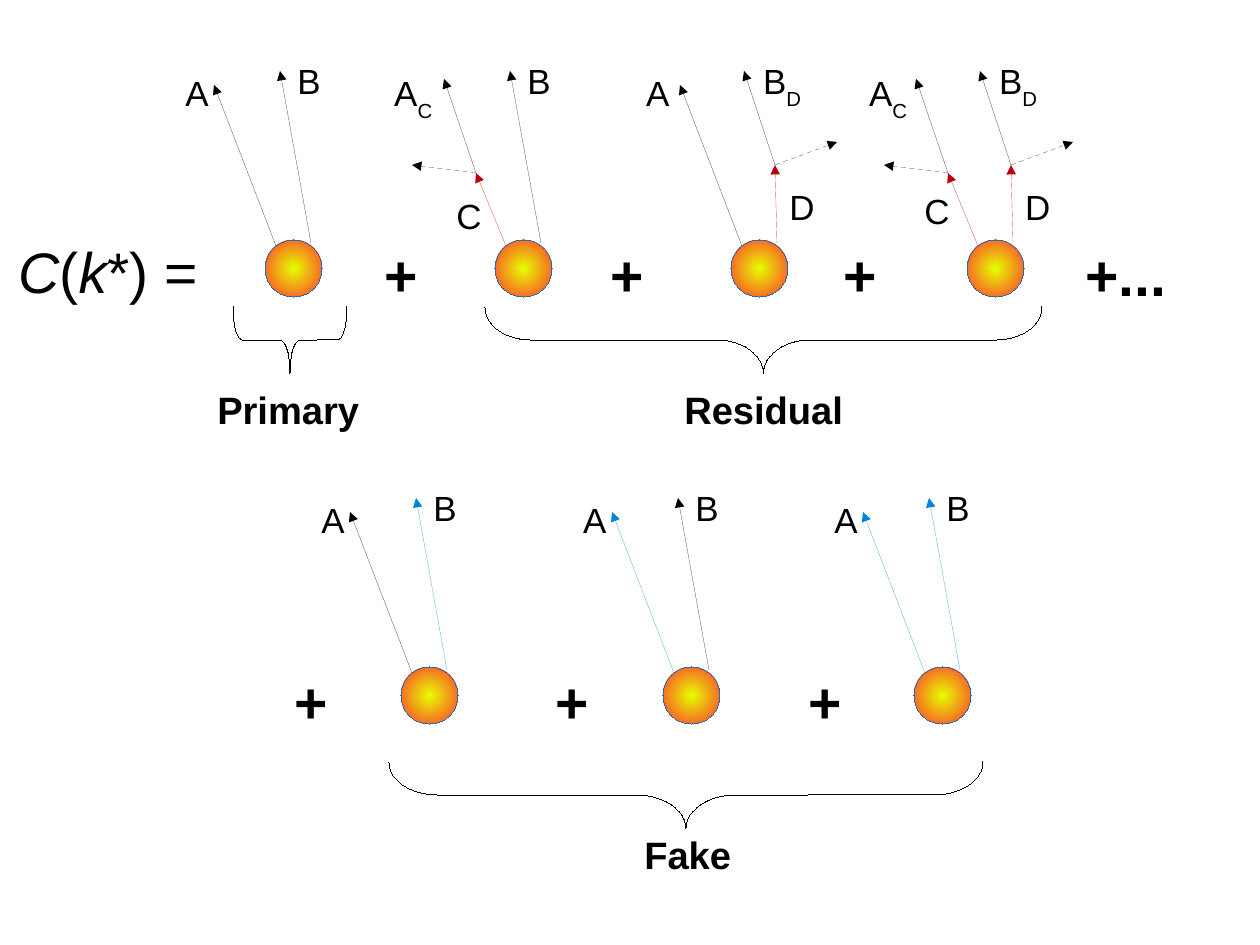
"""Build a slide splitting C(k*) into primary, residual and fake pair contributions."""
from dataclasses import dataclass

from lxml.etree import SubElement
from pptx import Presentation
from pptx.dml.color import RGBColor
from pptx.dml.line import LineFormat
from pptx.enum.dml import MSO_LINE
from pptx.enum.shapes import MSO_CONNECTOR, MSO_SHAPE as Preset
from pptx.enum.text import MSO_AUTO_SIZE as AutoSize
from pptx.oxml.ns import qn
from pptx.shapes.shapetree import SlideShapes
from pptx.util import Emu, Pt

PX = 8000
SPHERE_SIZE = 57
BRACE_DEPTH = 66
COLORS = {
    "ink": "000000",
    "decay": "BB000B",
    "fake": "0084D1",
    "core": "E6FF00",
    "rim": "FF3333",
    "outline": "3465A4",
}


@dataclass(frozen=True)
class Run:
    text: str
    italic: bool = False
    subscript: bool = False


@dataclass(frozen=True)
class Label:
    left: int
    top: int
    width: int
    height: int
    runs: tuple[Run, ...]
    size: int = 22
    bold: bool = False


@dataclass(frozen=True)
class Track:
    start: tuple[int, int]
    tip: tuple[int, int]
    color: str = "ink"
    dashed: bool = False


@dataclass(frozen=True)
class Particle:
    tracks: tuple[Track, ...]
    labels: tuple[Label, ...]


@dataclass(frozen=True)
class Emission:
    left: int
    top: int
    plus_left: int | None
    particles: tuple[Particle, ...]


@dataclass(frozen=True)
class Group:
    left: int
    top: int
    span: int
    caption: Label


def px(length: float) -> Emu:
    return Emu(round(length * PX))


def rgb(name: str) -> RGBColor:
    return RGBColor.from_string(COLORS[name])


def direct_a(color: str = "ink", label_left: int = -91) -> Particle:
    return Particle((Track((11, 6), (-51, -155), color),),
                    (Label(label_left, -174, 30, 55, (Run("A"),)),))


def direct_b(color: str = "ink") -> Particle:
    return Particle((Track((46, 3), (15, -169), color),),
                    (Label(21, -186, 33, 55, (Run("B"),)),))


def decayed_a(label_left: int, width: int, height: int,
              parent_left: int, parent_top: int) -> Particle:
    vertex = (-19, -67)
    return Particle(
        (Track((11, 6), vertex, "decay"),
         Track(vertex, (-51, -161)),
         Track(vertex, (-83, -75), dashed=True)),
        (Label(label_left, -174, width, height, (Run("A"), Run("C", subscript=True))),
         Label(parent_left, parent_top, 32, 55, (Run("C"),))),
    )


def decayed_b(width: int, height: int) -> Particle:
    vertex = (44, -75)
    return Particle(
        (Track((46, 3), vertex, "decay"),
         Track(vertex, (13, -169)),
         Track(vertex, (106, -98), dashed=True)),
        (Label(21, -186, width, height, (Run("B"), Run("D", subscript=True))),
         Label(47, -60, 32, 55, (Run("D"),))),
    )


def plus(left: int, top: int, text: str = "+", width: int = 41) -> Label:
    return Label(left, top, width, 85, (Run(text),), 36, True)


def caption(left: int, top: int, width: int, height: int, text: str) -> Label:
    return Label(left, top, width, height, (Run(text),), 24, True)


PAIR_TOP, FAKE_TOP = 240, 667
EMISSIONS = (
    Emission(265, PAIR_TOP, None, (direct_a(), direct_b())),
    Emission(495, PAIR_TOP, 373, (decayed_a(-112, 67, 98, -50, -51), direct_b())),
    Emission(731, PAIR_TOP, 599, (direct_a(label_left=-96), decayed_b(65, 107))),
    Emission(967, PAIR_TOP, 832, (decayed_a(-109, 64, 64, -54, -56), decayed_b(81, 77))),
    Emission(401, FAKE_TOP, 283, (direct_a(), direct_b("fake"))),
    Emission(663, FAKE_TOP, 544, (direct_a("fake"), direct_b())),
    Emission(914, FAKE_TOP, 797, (direct_a("fake"), direct_b("fake"))),
)
GROUPS = (
    Group(233, 307, 114, caption(206, 381, 165, 75, "Primary")),
    Group(485, 307, 557, caption(673, 381, 183, 75, "Residual")),
    Group(389, 762, 594, caption(633, 826, 111, 69, "Fake")),
)
FORMULA = Label(7, 231, 206, 82, (Run("C", italic=True), Run("("),
                                  Run("k", italic=True), Run("*) =")), 36)


def draw_label(shapes: SlideShapes, label: Label, left: int = 0, top: int = 0) -> None:
    frame = shapes.add_textbox(px(left + label.left), px(top + label.top),
                               px(label.width), px(label.height)).text_frame
    frame.word_wrap = True
    frame.auto_size = AutoSize.SHAPE_TO_FIT_TEXT
    for part in label.runs:
        run = frame.paragraphs[0].add_run()
        run.text = part.text
        run.font.name = "Arial"
        run.font.size = Pt(label.size)
        run.font.bold = label.bold
        run.font.italic = part.italic
        run.font.color.rgb = rgb("ink")
        if part.subscript:
            run._r.get_or_add_rPr().set("baseline", "-33000")


def set_hairline(line: LineFormat, color: str) -> None:
    line.color.rgb = rgb(color)
    line._get_or_add_ln().set("w", "0")


def draw_track(shapes: SlideShapes, track: Track, left: int, top: int) -> None:
    (x1, y1), (x2, y2) = track.start, track.tip
    arrow = shapes.add_connector(MSO_CONNECTOR.STRAIGHT, px(left + x1), px(top + y1),
                                 px(left + x2), px(top + y2))
    set_hairline(arrow.line, track.color)
    if track.dashed:
        arrow.line.dash_style = MSO_LINE.DASH
    properties = arrow._element.spPr
    SubElement(properties.find(qn("a:ln")), qn("a:tailEnd"), type="triangle")
    SubElement(properties, qn("a:effectLst"))


def draw_sphere(shapes: SlideShapes, left: int, top: int) -> None:
    sphere = shapes.add_shape(Preset.OVAL, px(left), px(top), px(SPHERE_SIZE), px(SPHERE_SIZE))
    sphere.shadow.inherit = False
    set_hairline(sphere.line, "outline")
    sphere.fill.gradient()
    for stop, position, color in zip(sphere.fill.gradient_stops, (0, 1), ("core", "rim")):
        stop.position = position
        stop.color.rgb = rgb(color)
    gradient = sphere._element.spPr.find(qn("a:gradFill"))
    gradient.remove(gradient.find(qn("a:lin")))
    radial = SubElement(gradient, qn("a:path"), path="circle")
    SubElement(radial, qn("a:fillToRect"), l="50000", t="50000", r="50000", b="50000")


def draw_group(shapes: SlideShapes, group: Group) -> None:
    shift = (group.span - BRACE_DEPTH) / 2
    brace = shapes.add_shape(Preset.LEFT_BRACE, px(group.left + shift), px(group.top - shift),
                             px(BRACE_DEPTH), px(group.span))
    brace.rotation = 270
    brace.adjustments[0] = group.span / BRACE_DEPTH / 12
    brace.shadow.inherit = False
    brace.fill.background()
    set_hairline(brace.line, "ink")
    draw_label(shapes, group.caption)


def main() -> None:
    deck = Presentation()
    deck.slide_width, deck.slide_height = px(1260), px(945)
    shapes = deck.slides.add_slide(deck.slide_layouts[6]).shapes
    for emission in EMISSIONS:
        draw_sphere(shapes, emission.left, emission.top)
        for particle in emission.particles:
            for track in particle.tracks:
                draw_track(shapes, track, emission.left, emission.top)
            for label in particle.labels:
                draw_label(shapes, label, emission.left, emission.top)
        if emission.plus_left is not None:
            draw_label(shapes, plus(emission.plus_left, emission.top - 6))
    draw_label(shapes, plus(1074, PAIR_TOP - 6, "+...", 145))
    for group in GROUPS:
        draw_group(shapes, group)
    draw_label(shapes, FORMULA)
    deck.save("out.pptx")


if __name__ == "__main__":
    main()
